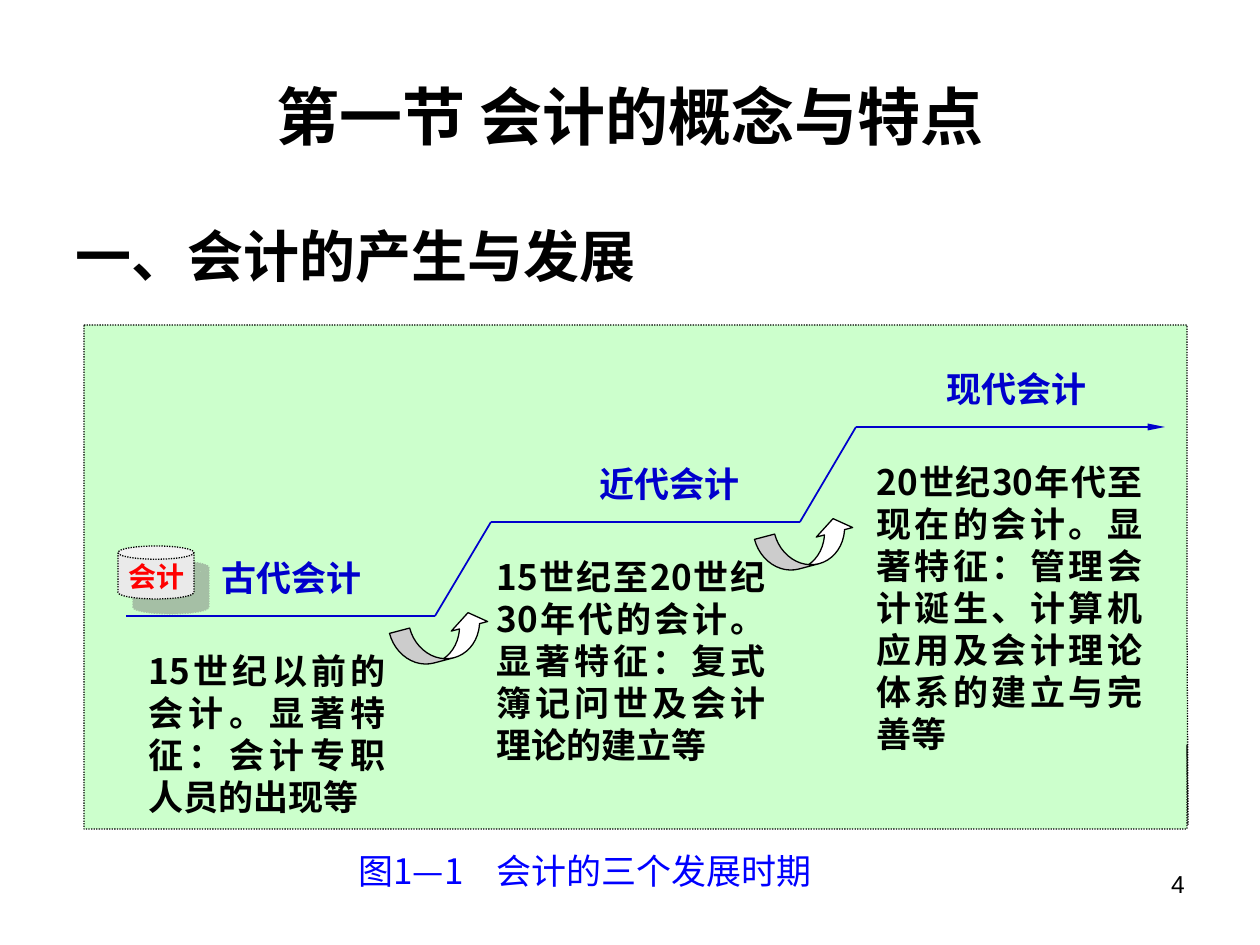
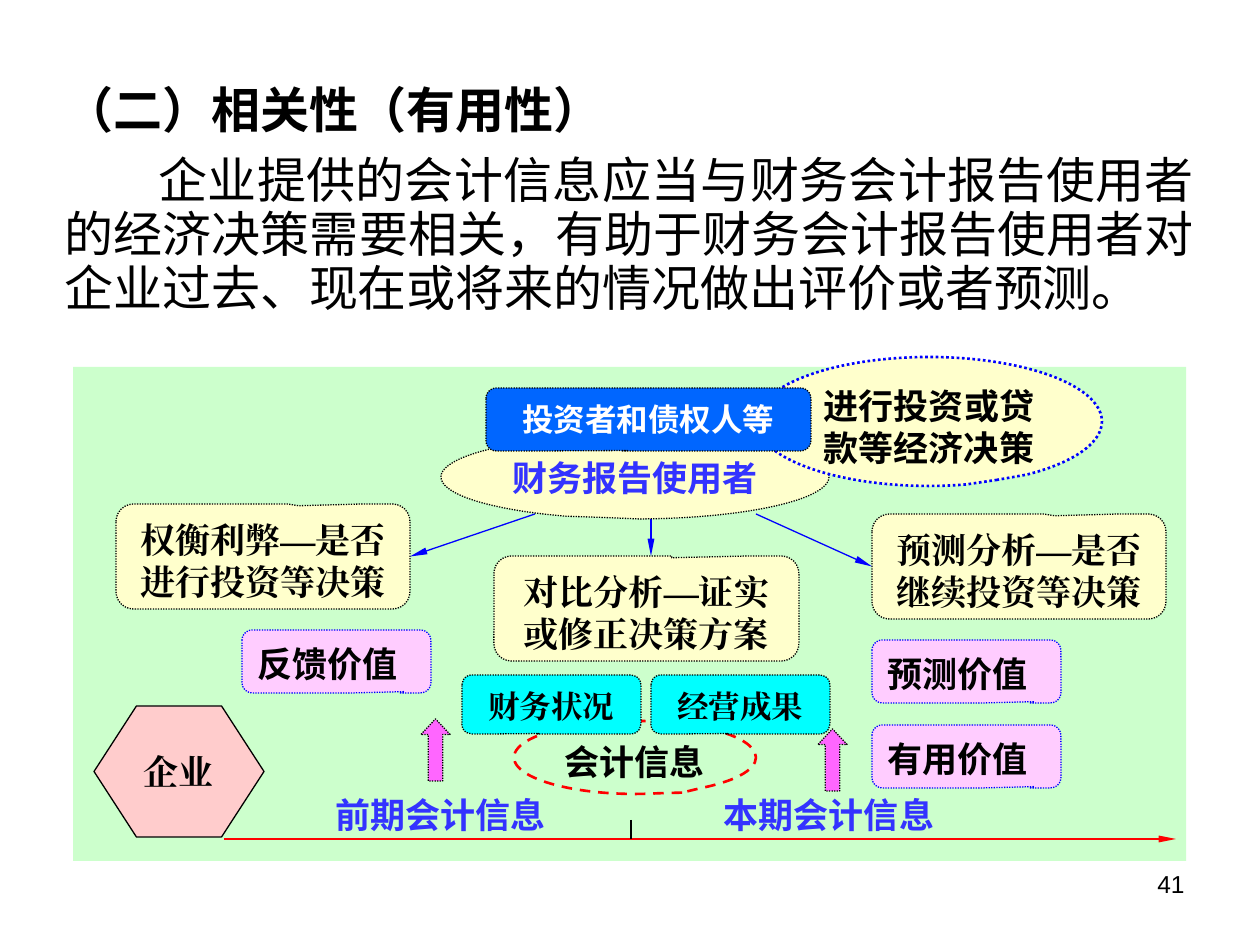
from dataclasses import dataclass
from typing import Any

from lxml.etree import SubElement
from pptx import Presentation
from pptx.dml.color import RGBColor
from pptx.enum.dml import MSO_LINE
from pptx.enum.shapes import MSO_CONNECTOR, MSO_SHAPE
from pptx.enum.text import MSO_ANCHOR, PP_ALIGN
from pptx.oxml.ns import qn
from pptx.util import Pt

PX = 914400 / 126
LATIN, CJK, SERIF = "Arial", "Noto Sans CJK SC", "Times New Roman"
BLACK, WHITE, RED, BLUE = "000000", "FFFFFF", "FF0000", "0000FF"
STEP_BLUE, USER_BLUE = "0000CC", "3333FF"
GREEN, CREAM, PINK, CYAN = "CCFFCC", "FFFFCC", "FFCCFF", "00FFFF"
DOTS, DASHES = MSO_LINE.ROUND_DOT, MSO_LINE.DASH
LEFT, CENTER, RIGHT, JUSTIFY = PP_ALIGN.LEFT, PP_ALIGN.CENTER, PP_ALIGN.RIGHT, PP_ALIGN.JUSTIFY
RECT_CALLOUT = MSO_SHAPE.RECTANGULAR_CALLOUT
ROUND_CALLOUT = MSO_SHAPE.ROUNDED_RECTANGULAR_CALLOUT
OVAL_CALLOUT = MSO_SHAPE.OVAL_CALLOUT


def px(length):
    return round(length * PX)


def rgb(value):
    return RGBColor.from_string(value)


def format_paragraph(para, size=20, color=BLACK, bold=True, font=CJK, align=CENTER,
                     leading=1.2, indent=0, tab=0):
    para.alignment = align
    para.line_spacing = Pt(round(size * leading, 1))
    properties = para._p.get_or_add_pPr()
    if indent:
        properties.set("indent", str(px(indent)))
    if tab:
        stops = SubElement(properties, qn("a:tabLst"))
        SubElement(stops, qn("a:tab"), pos=str(px(tab)), algn="l")
    para.font.size = Pt(size)
    para.font.bold = bold
    para.font.name = font
    para.font.color.rgb = rgb(color)
    east_asian = CJK if font == LATIN else font
    SubElement(para.font._rPr, qn("a:ea"), typeface=east_asian)


def write(shape, text, anchor=MSO_ANCHOR.TOP, size=20, **style):
    frame = shape.text_frame
    frame.word_wrap = True
    frame.vertical_anchor = anchor
    if anchor == MSO_ANCHOR.TOP:
        # Exact line spacing trims the ascent, so the text starts a little lower.
        frame.margin_top = px(6) + Pt(0.09 * size)
    para = frame.paragraphs[0]
    para.text = text
    format_paragraph(para, size, **style)


@dataclass
class Region:
    """Part of a page whose contents are placed from its top left corner."""
    page: Any
    left: int
    top: int
    width: int
    height: int

    def shape(self, kind, box, fill, line=None, weight=0.75, dash=None, adjust=()):
        left, top, width, height = box
        shape = self.page.shapes.add_shape(
            kind, px(self.left + left), px(self.top + top), px(width), px(height))
        shape.shadow.inherit = False
        shape.fill.solid()
        shape.fill.fore_color.rgb = rgb(fill)
        if line:
            shape.line.color.rgb = rgb(line)
            shape.line.width = Pt(weight)
            if dash:
                shape.line.dash_style = dash
        else:
            shape.line.fill.background()
        for index, value in enumerate(adjust):
            shape.adjustments[index] = value
        return shape

    def text(self, box, text, **style):
        left, top, width, height = box
        shape = self.page.shapes.add_textbox(
            px(self.left + left), px(self.top + top), px(width), px(height))
        write(shape, text, **style)
        return shape

    def line(self, start, end, color, weight, arrow=False):
        x1, y1, x2, y2 = (px(value) for value in (
            self.left + start[0], self.top + start[1], self.left + end[0], self.top + end[1]))
        line = self.page.shapes.add_connector(MSO_CONNECTOR.STRAIGHT, x1, y1, x2, y2)
        line.line.color.rgb = rgb(color)
        line.line.width = Pt(weight)
        if arrow:
            SubElement(line.line._get_or_add_ln(), qn("a:tailEnd"),
                       type="triangle", w="sm", len="lg")
        SubElement(line._element.spPr, qn("a:effectLst"))
        return line


def add_page_number(page, number):
    Region(page, 903, 861, 294, 66).text(
        (0, 0, 294, 66), str(number), size=14, bold=False, font=LATIN, align=RIGHT)


def add_accounting_can(region):
    can = region.shape(MSO_SHAPE.CAN, (34, 221, 76, 53), "EAEAEA", BLACK, dash=DOTS,
                       adjust=(0.25,))
    shadow = SubElement(can._element.spPr.find(qn("a:effectLst")), qn("a:outerShdw"),
                        dist=str(Pt(12.1)), dir="2700000", algn="ctr", rotWithShape="0")
    color = SubElement(shadow, qn("a:srgbClr"), val="808080")
    SubElement(color, qn("a:alpha"), val="50000")
    region.text((32, 226, 94, 58), "会计", size=16, color=RED, align=JUSTIFY)


def add_history_steps(region):
    region.shape(RECT_CALLOUT, (0, 0, region.width, region.height), GREEN, BLACK,
                 dash=DOTS, adjust=(0.501, 0.491))
    stages = [
        ("古代会计", 115, (52, 315, 262, 189),
         "15世纪以前的会计。显著特征：会计专职人员的出现等"),
        ("近代会计", 493, (400, 221, 294, 219),
         "15世纪至20世纪30年代的会计。显著特征：复式簿记问世及会计理论的建立等"),
        ("现代会计", 840, (780, 126, 291, 315),
         "20世纪30年代至现在的会计。显著特征：管理会计诞生、计算机应用及会计理论体系的建立与完善等"),
    ]
    previous_end = None
    for index, (name, label_left, box, description) in enumerate(stages):
        start = (42 + 365 * index, 291 - round(94.5 * index))
        end = (start[0] + 309, start[1])
        if previous_end:
            region.line(previous_end, start, STEP_BLUE, 1)
            arrow = region.shape(MSO_SHAPE.CURVED_UP_ARROW,
                                 (previous_end[0] - 42, previous_end[1] + 4, 100, 40),
                                 WHITE, BLACK, adjust=(0.52, 0.94, 0.34))
            arrow.rotation = 345.2
        region.line(start, end, STEP_BLUE, 1, arrow=index == len(stages) - 1)
        region.text((label_left, start[1] - 69, 186, 62), name, color=STEP_BLUE)
        region.text(box, description, align=JUSTIFY)
        previous_end = end
    add_accounting_can(region)


def build_history_page(page):
    heading = Region(page, 63, 63, 1134, 232)
    heading.text((0, 0, 1134, 105), "第一节 会计的概念与特点",
                 anchor=MSO_ANCHOR.MIDDLE, size=36, font=LATIN)
    heading.text((0, 147, 1134, 84), "一、会计的产生与发展", size=32, font=LATIN, align=LEFT)
    panel = Region(page, 84, 325, 1103, 504)
    add_history_steps(panel)
    panel.text((262, 515, 557, 63), "图1—1\t会计的三个发展时期",
               color=BLUE, bold=False, align=LEFT, tab=138)
    add_page_number(page, 4)


def add_relevance_text(region):
    box = region.text((0, 0, region.width, region.height), "（二）相关性（有用性）",
                      size=28, align=LEFT, leading=1.1)
    para = box.text_frame.add_paragraph()
    para.text = ("企业提供的会计信息应当与财务会计报告使用者的经济决策需要相关，"
                 "有助于财务会计报告使用者对企业过去、现在或将来的情况做出评价或者预测。")
    para.space_before = Pt(9)
    format_paragraph(para, size=28, bold=False, align=JUSTIFY, leading=1.1, indent=94)


def add_timeline(region):
    region.line((151, 472), (1103, 472), RED, 1.5, arrow=True)
    company = region.shape(MSO_SHAPE.HEXAGON, (21, 339, 170, 131), "FFCCCC", BLACK,
                           adjust=(0.324,))
    write(company, "企业", anchor=MSO_ANCHOR.MIDDLE, font=SERIF)
    region.line((558, 453), (558, 472), BLACK, 1.5)
    periods = [("前期会计信息", 242, (348, 352)), ("本期会计信息", 630, (745, 362))]
    for name, left, (arrow_left, arrow_top) in periods:
        region.shape(MSO_SHAPE.UP_ARROW, (arrow_left, arrow_top, 29, 62), "FF66FF", BLACK,
                     dash=DOTS, adjust=(0.5, 0.534))
        region.text((left, 417, 252, 52), name, color=USER_BLUE)


def add_values(region):
    for name, left, top in [("反馈价值", 169, 263), ("预测价值", 799, 273),
                            ("有用价值", 799, 358)]:
        value = region.shape(ROUND_CALLOUT, (left, top, 189, 63), PINK, BLUE, dash=DOTS,
                             adjust=(0.36, 0.479, 0.167))
        write(value, name, align=LEFT)


def add_accounting_information(region):
    oval = region.shape(OVAL_CALLOUT, (441, 354, 242, 73), GREEN, RED, 1.5, DASHES,
                        (0.195, 0.482))
    write(oval, "会计信息", font=LATIN)
    for index, name in enumerate(["财务状况", "经营成果"]):
        box = region.shape(ROUND_CALLOUT, (389 + 189 * index, 308, 179, 59), CYAN, BLACK,
                           dash=DOTS, adjust=(-0.07, 0.493, 0.167))
        write(box, name, size=18, font=SERIF)


def add_decisions(region):
    """Three decisions, each with the arrow from the users of the report."""
    decisions = [
        ("权衡利弊—是否进行投资等决策", (43, 137, 294, 105), 0.122, (462, 147), (337, 189), 3),
        ("对比分析—证实或修正决策方案", (421, 189, 305, 105), 0.083, (578, 137), (578, 189), None),
        ("预测分析—是否继续投资等决策", (799, 147, 294, 105), 0.122, (683, 147), (799, 200), 1),
    ]
    for text, box, tail, start, end, side in decisions:
        decision = region.shape(ROUND_CALLOUT, box, CREAM, BLACK, dash=DOTS,
                                adjust=(tail, -0.483, 0.167))
        write(decision, text, font=SERIF)
        arrow = region.line(start, end, BLUE, 0.75, arrow=True)
        if side is not None:
            arrow.end_connect(decision, side)


def add_report_users(region):
    users = region.shape(OVAL_CALLOUT, (368, 68, 388, 84), CREAM, BLACK, dash=DOTS,
                         adjust=(-0.083, 0.482))
    write(users, "财务报告使用者", color=USER_BLUE, font=LATIN)
    purpose = region.shape(OVAL_CALLOUT, (683, -10, 346, 129), CREAM, BLUE, 1.5, DOTS,
                           (0.197, 0.453))
    write(purpose, "进行投资或贷款等经济决策", font=LATIN)
    investors = region.shape(ROUND_CALLOUT, (413, 21, 325, 63), "0066FF", BLACK, dash=DOTS,
                             adjust=(-0.064, 0.493, 0.167))
    write(investors, "投资者和债权人等", size=18, color=WHITE, font=LATIN)


def build_relevance_page(page):
    add_relevance_text(Region(page, 52, 74, 1155, 336))
    panel = Region(page, 73, 367, 1113, 494)
    panel.shape(RECT_CALLOUT, (0, 0, panel.width, panel.height), GREEN, adjust=(-0.041, 0.5))
    add_timeline(panel)
    add_values(panel)
    add_accounting_information(panel)
    add_decisions(panel)
    add_report_users(panel)
    add_page_number(page, 41)


def main():
    deck = Presentation()
    deck.slide_width, deck.slide_height = px(1260), px(945)
    blank = deck.slide_layouts[6]
    for build in (build_history_page, build_relevance_page):
        build(deck.slides.add_slide(blank))
    deck.save("out.pptx")


if __name__ == "__main__":
    main()
